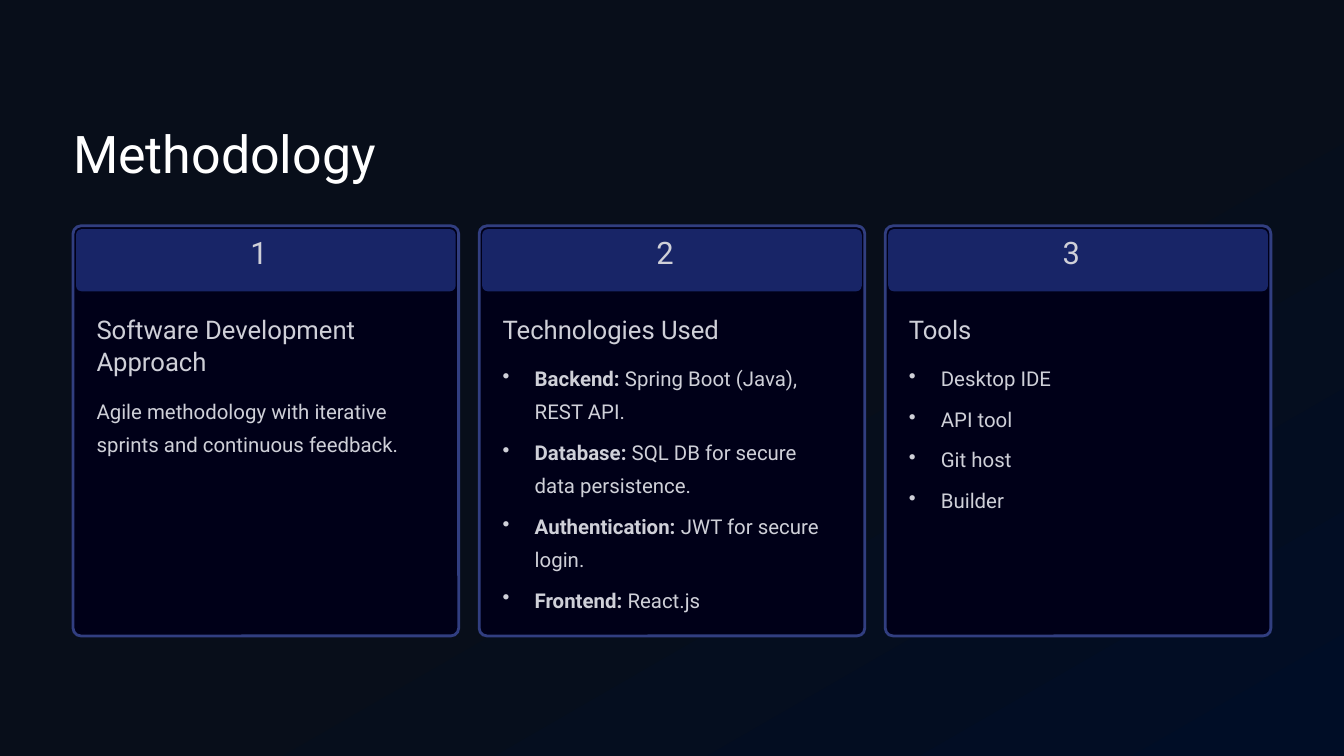
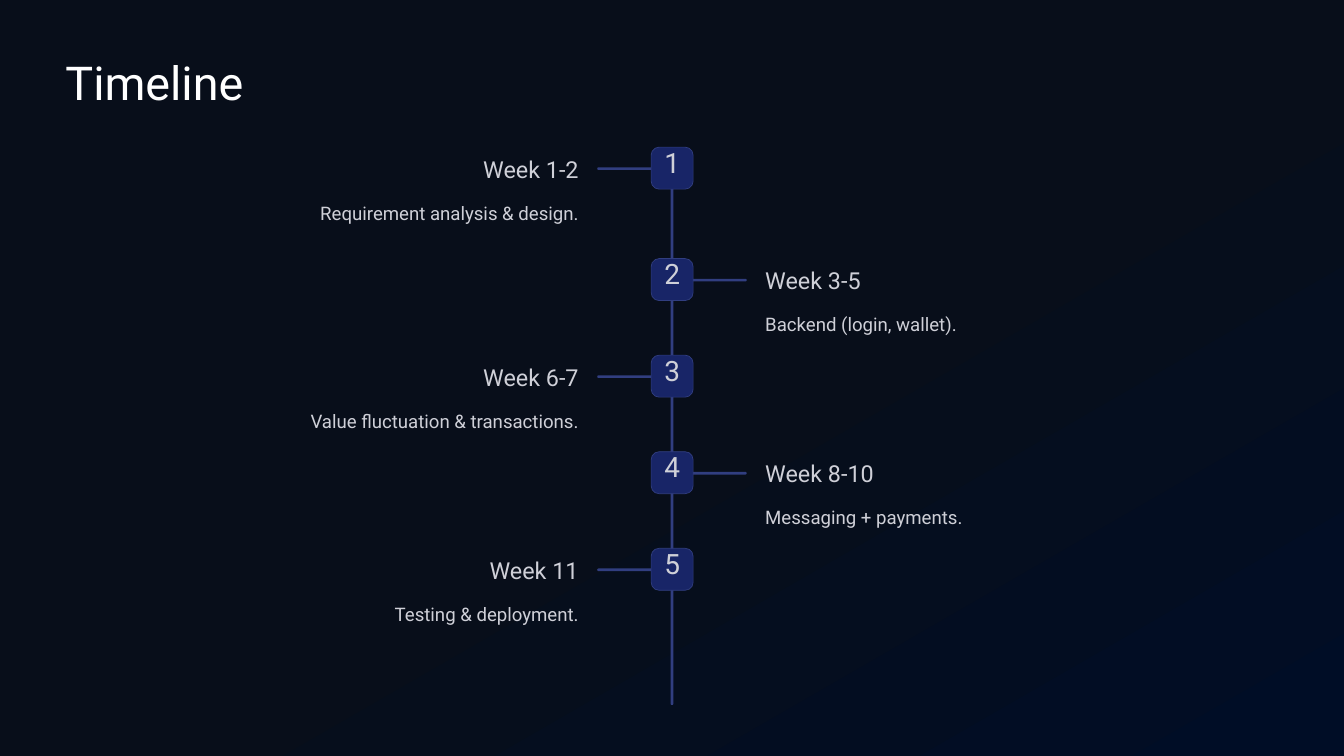
from lxml import etree
from pptx import Presentation
from pptx.dml.color import RGBColor
from pptx.enum import shapes, text
from pptx.oxml import ns
from pptx.util import Cm, Pt

FONT = "Roboto"
NIGHT = RGBColor(0x08, 0x0E, 0x1A)
NAVY = RGBColor(0x00, 0x0D, 0x26)
CARD = RGBColor(0x00, 0x00, 0x18)
ACCENT = RGBColor(0x18, 0x25, 0x67)
EDGE = RGBColor(0x31, 0x3E, 0x80)
WHITE = RGBColor(0xFF, 0xFF, 0xFF)
PALE = RGBColor(0xCF, 0xD0, 0xD8)

LEFT, CENTER, RIGHT = text.PP_ALIGN.LEFT, text.PP_ALIGN.CENTER, text.PP_ALIGN.RIGHT

CARDS = [
    {"heading": "Software Development Approach", "lines": 2, "bullets": False,
     "body": [("", "Agile methodology with iterative sprints and continuous feedback.")]},
    {"heading": "Technologies Used", "lines": 1, "bullets": True,
     "body": [("Backend:", " Spring Boot (Java), REST API."),
              ("Database:", " SQL DB for secure data persistence."),
              ("Authentication:", " JWT for secure login."),
              ("Frontend:", " React.js")]},
    {"heading": "Tools", "lines": 1, "bullets": True,
     "body": [("", "Desktop IDE"), ("", "API tool"), ("", "Git host"), ("", "Builder")]},
]

WEEKS = [
    ("Week 1-2", "Requirement analysis & design."),
    ("Week 3-5", "Backend (login, wallet)."),
    ("Week 6-7", "Value fluctuation & transactions."),
    ("Week 8-10", "Messaging + payments."),
    ("Week 11", "Testing & deployment."),
]


def add_slide(prs):
    s = prs.slides.add_slide(prs.slide_layouts[6])
    fill = s.background.fill
    fill.gradient()
    fill.gradient_angle = 300
    for stop, color, position in zip(fill.gradient_stops, (NIGHT, NAVY), (0.52, 1)):
        stop.color.rgb = color
        stop.position = position
    return s


def add_box(s, x, y, w, h, radius, color, line=None, alpha=None):
    sp = s.shapes.add_shape(shapes.MSO_SHAPE.ROUNDED_RECTANGLE, Cm(x), Cm(y), Cm(w), Cm(h))
    sp.adjustments[0] = radius
    sp.shadow.inherit = False
    sp.fill.solid()
    sp.fill.fore_color.rgb = color
    if alpha:
        srgb = sp.fill._xPr.find(".//" + ns.qn("a:srgbClr"))
        etree.SubElement(srgb, ns.qn("a:alpha")).set("val", str(alpha * 1000))
    if line:
        sp.line.color.rgb = EDGE
        sp.line.width = Pt(line)
    else:
        sp.line.fill.background()


def add_bullet(p):
    pPr = p._p.get_or_add_pPr()
    pPr.set("marL", str(Cm(0.97)))
    pPr.set("indent", str(-Cm(0.97)))
    etree.SubElement(pPr, ns.qn("a:buChar")).set("char", "•")


def add_text(s, x, y, w, h, items, size, leading, color=PALE, align=LEFT, bullets=False):
    tf = s.shapes.add_textbox(Cm(x), Cm(y), Cm(w), Cm(h)).text_frame
    tf.word_wrap = True
    tf.margin_left = tf.margin_top = tf.margin_right = tf.margin_bottom = 0
    for i, (label, words) in enumerate(items):
        p = tf.add_paragraph() if i else tf.paragraphs[0]
        p.alignment = align
        p.line_spacing = Pt(leading)
        if i:
            p.space_before = Pt(6.35)
        if bullets:
            add_bullet(p)
        for part, bold in ((label, True), (words, False)):
            if part:
                r = p.add_run()
                r.text = part
                r.font.name = FONT
                r.font.size = Pt(size)
                r.font.bold = bold
                r.font.color.rgb = color


def add_line(s, x, y, w, h, words, size, leading, **style):
    add_text(s, x, y, w, h, [("", words)], size, leading, **style)


def methodology(prs):
    s = add_slide(prs)
    add_line(s, 2.21, 3.61, 15.75, 1.98, "Methodology", 44.5, 55.5, color=WHITE)
    top, heading_top, line_height, gap = 6.83, 9.45, 0.99, 0.37
    for i, card in enumerate(CARDS):
        x = 2.21 + 12.28 * i
        add_box(s, x, top, 11.66, 12.4, 0.02, CARD, line=2.4, alpha=95)
        add_box(s, x + 0.09, top + 0.1, 11.48, 1.88, 0.09, ACCENT)
        add_line(s, x + 5.36, top + 0.43, 0.94, 1.19, str(i + 1), 26.5, 26.5)
        heading_height = line_height * card["lines"]
        add_line(s, x + 0.71, heading_top, 10.24, heading_height, card["heading"], 22, 27.5)
        body_top = heading_top + heading_height + gap
        add_text(s, x + 0.71, body_top, 10.24, top + 11.7 - body_top, card["body"],
                 17.5, 28.5, bullets=card["bullets"])


def timeline(prs):
    s = add_slide(prs)
    add_line(s, 1.98, 1.55, 14.12, 1.75, "Timeline", 40, 50, color=WHITE)
    first, second, pitch = 4.45, 7.82, 2.92
    add_box(s, 20.28, first, 0.08, 16.87, 0.5, EDGE)
    for i, (week, task) in enumerate(WEEKS):
        y = second + pitch * (i - 1) if i else first
        on_left = i % 2 == 0
        align = LEFT
        week_x = task_x = 23.14
        if on_left:
            align = RIGHT
            week_x, task_x = 17.5 - 7.06, 17.5 - 15.52
        add_box(s, 18.06 if on_left else 20.88, y + 0.61, 1.7, 0.08, 0.5, EDGE)
        add_box(s, 19.69, y, 1.27, 1.27, 0.19, ACCENT, line=0.6)
        add_line(s, 19.9, y + 0.11, 0.85, 1.07, str(i + 1), 24, 24, align=CENTER)
        add_line(s, week_x, y + 0.2, 7.06, 0.9, week, 20, 25, align=align)
        add_line(s, task_x, y + 1.42, 15.52, 0.91, task, 16, 25.5, align=align)


def main():
    prs = Presentation()
    prs.slide_width, prs.slide_height = Cm(40.64), Cm(22.86)
    methodology(prs)
    timeline(prs)
    prs.save("out.pptx")


if __name__ == "__main__":
    main()
